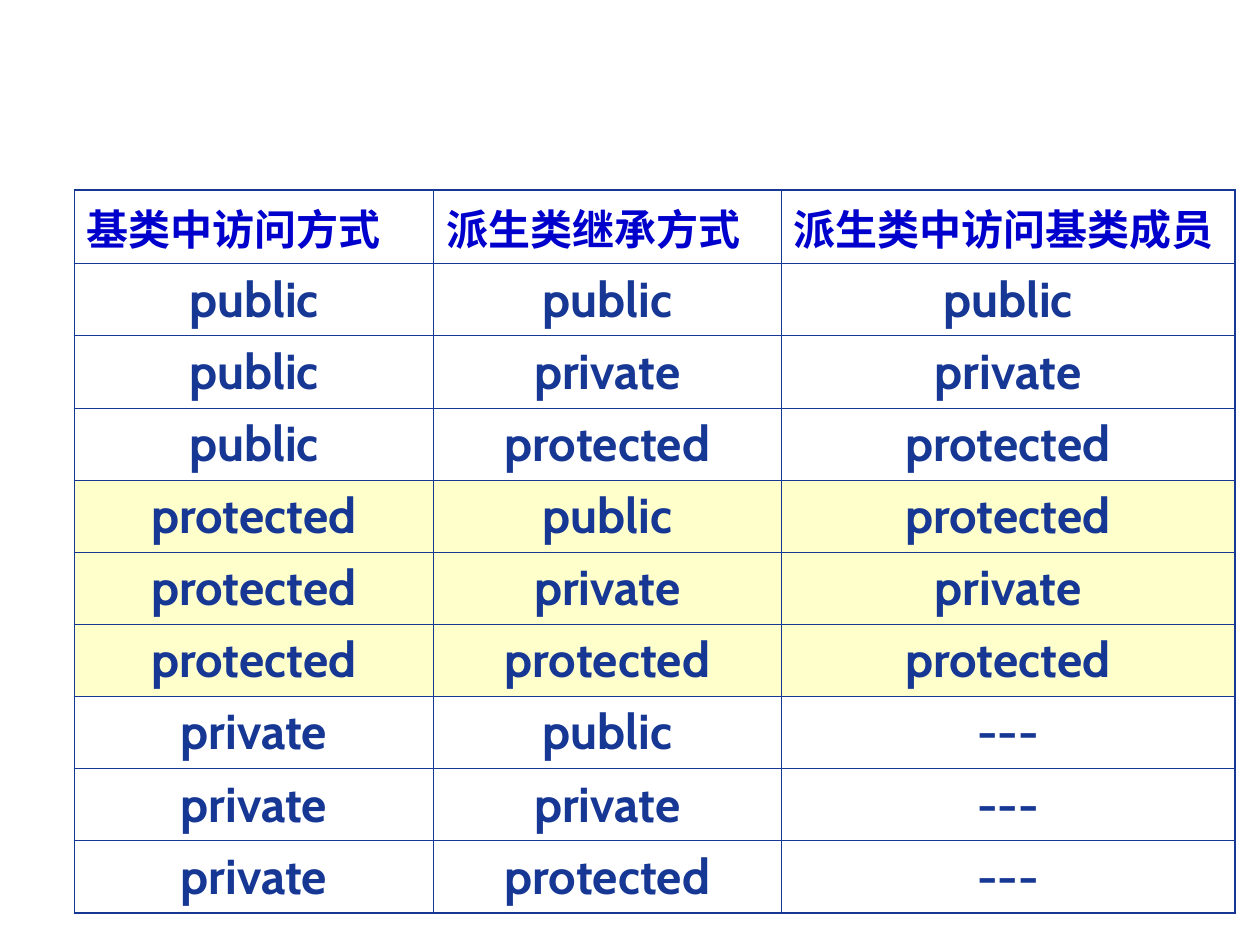
"""Build a slide tabulating how inheritance changes member access."""

from dataclasses import dataclass
from itertools import product

from lxml import etree
from pptx import Presentation
from pptx.dml.color import RGBColor
from pptx.enum.text import PP_ALIGN
from pptx.oxml.ns import qn
from pptx.table import _Cell
from pptx.util import Pt

LEFT = PP_ALIGN.LEFT
CENTER = PP_ALIGN.CENTER

FONT = "Cabin"
NAVY = "163794"
BLUE = "0000CC"
WHITE = "FFFFFF"
CREAM = "FFFFCC"
OUTER_LINE = 1.08
INNER_LINE = 0.45

COLUMN_WIDTHS = (205.2, 198.7, 259.2)
HEADER_HEIGHT = 38.9
BODY_HEIGHT = 41.2
HEADINGS = ("基类中访问方式", "派生类继承方式", "派生类中访问基类成员")
BASE_ACCESS = ("public", "protected", "private")
INHERITANCE = ("public", "private", "protected")


@dataclass(frozen=True)
class CellStyle:
    size: float
    color: str
    alignment: PP_ALIGN
    fill: str | None = None


@dataclass(frozen=True)
class TableRow:
    texts: tuple[str, ...]
    height: float
    style: CellStyle


HEADER_STYLE = CellStyle(24, BLUE, LEFT, WHITE)
BODY_STYLE = CellStyle(28, NAVY, CENTER)
PROTECTED_STYLE = CellStyle(28, NAVY, CENTER, CREAM)


def rgb(color: str) -> RGBColor:
    return RGBColor.from_string(color)


def derived_access(base: str, inheritance: str) -> str:
    if base == "private":
        return "---"
    return max(base, inheritance, key=("public", "protected", "private").index)


def access_row(base: str, inheritance: str) -> TableRow:
    style = PROTECTED_STYLE if base == "protected" else BODY_STYLE
    texts = (base, inheritance, derived_access(base, inheritance))
    return TableRow(texts, BODY_HEIGHT, style)


def set_border(cell: _Cell, side: str, width: float) -> None:
    properties = cell._tc.get_or_add_tcPr()
    line = etree.SubElement(properties, qn(f"a:ln{side}"), w=str(int(Pt(width))))
    fill = etree.SubElement(line, qn("a:solidFill"))
    etree.SubElement(fill, qn("a:srgbClr"), val=NAVY)


def write_cell(cell: _Cell, text: str, style: CellStyle) -> None:
    if style.fill:
        cell.fill.solid()
        cell.fill.fore_color.rgb = rgb(style.fill)
    else:
        cell.fill.background()
    cell.text_frame.text = text
    paragraph = cell.text_frame.paragraphs[0]
    paragraph.alignment = style.alignment
    font = paragraph.runs[0].font
    font.name = FONT
    font.size = Pt(style.size)
    font.bold = True
    font.color.rgb = rgb(style.color)


def draw_table(slide, rows: list[TableRow], left: float, top: float) -> None:
    width = sum(COLUMN_WIDTHS)
    height = sum(row.height for row in rows)
    table = slide.shapes.add_table(
        len(rows), len(COLUMN_WIDTHS), Pt(left), Pt(top), Pt(width), Pt(height)
    ).table
    table.first_row = False
    table.horz_banding = False
    for column, column_width in zip(table.columns, COLUMN_WIDTHS):
        column.width = Pt(column_width)
    last_row, last_column = len(rows) - 1, len(COLUMN_WIDTHS) - 1
    for row_index, row in enumerate(rows):
        table.rows[row_index].height = Pt(row.height)
        for column_index, text in enumerate(row.texts):
            cell = table.cell(row_index, column_index)
            outer_sides = {
                "L": column_index == 0,
                "R": column_index == last_column,
                "T": row_index == 0,
                "B": row_index == last_row,
            }
            for side, is_outer in outer_sides.items():
                set_border(cell, side, OUTER_LINE if is_outer else INNER_LINE)
            write_cell(cell, text, row.style)


def main() -> None:
    presentation = Presentation()
    presentation.slide_width = Pt(720)
    presentation.slide_height = Pt(540)
    slide = presentation.slides.add_slide(presentation.slide_layouts[6])
    header = TableRow(HEADINGS, HEADER_HEIGHT, HEADER_STYLE)
    body = [access_row(*pair) for pair in product(BASE_ACCESS, INHERITANCE)]
    draw_table(slide, [header, *body], left=42.5, top=108.6)
    presentation.save("out.pptx")


if __name__ == "__main__":
    main()
